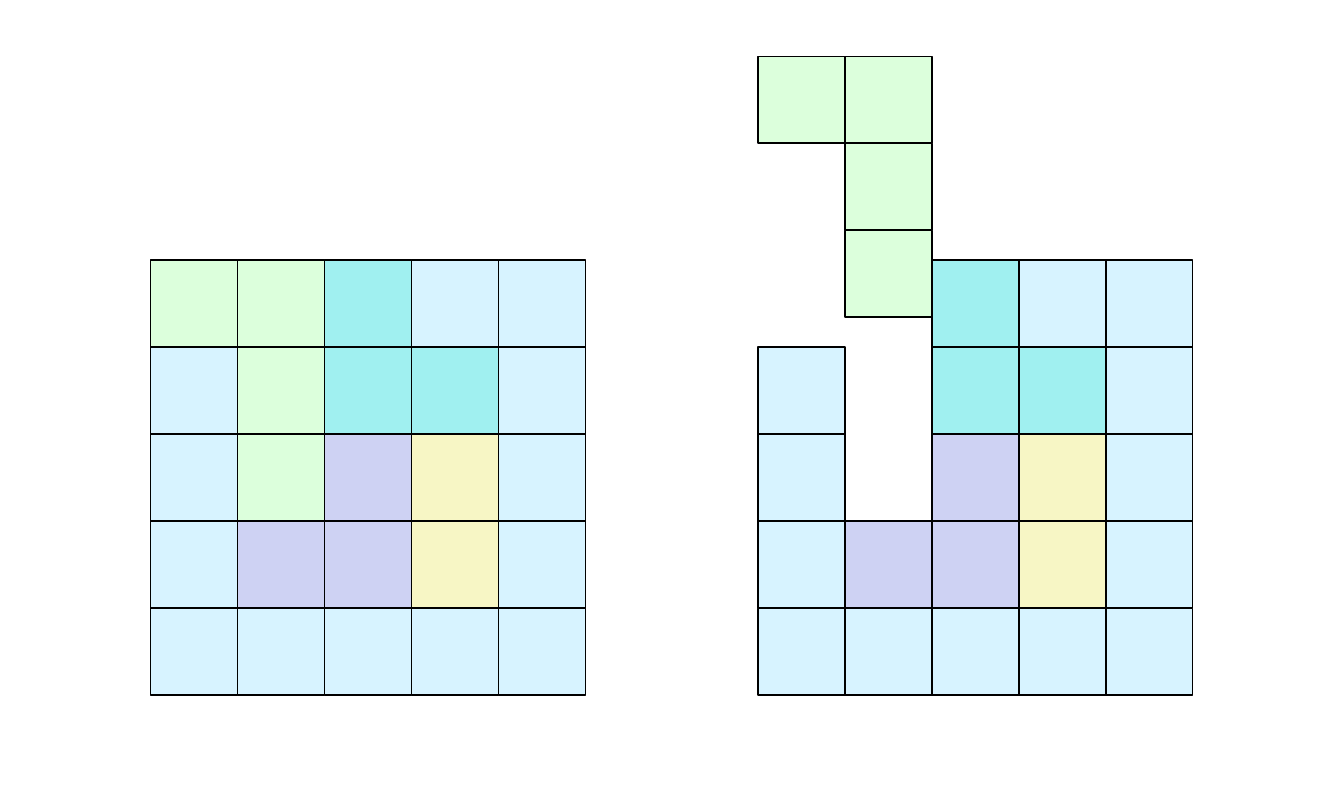
from pptx import Presentation
from pptx.dml.color import RGBColor
from pptx.enum.shapes import MSO_SHAPE
from pptx.util import Inches, Pt

RECTANGLE = MSO_SHAPE.RECTANGLE
BLACK = RGBColor(0x00, 0x00, 0x00)
GREEN = RGBColor(0xDC, 0xFF, 0xDC)
BLUE = RGBColor(0xD7, 0xF3, 0xFF)
TEAL = RGBColor(0xA0, 0xF0, 0xF0)
YELLOW = RGBColor(0xF7, 0xF6, 0xC5)
PURPLE = RGBColor(0xCE, 0xD2, 0xF3)

# Each letter is one cell of the board and names its piece
BOARD = [
    "GGTBB",
    "BGTTB",
    "BGPYB",
    "BPPYB",
    "BBBBB",
]
PIECES = {"G": GREEN, "B": BLUE, "T": TEAL, "Y": YELLOW, "P": PURPLE}
CM_PER_INCH = 2.54
CELL = 2.2 / CM_PER_INCH
BOARD_TOP = 2.59
LIFT = 2.03

# The slide measures 34 by 20 cm
prs = Presentation()
prs.slide_width = Inches(34 / CM_PER_INCH)
prs.slide_height = Inches(20 / CM_PER_INCH)
s = prs.slides.add_slide(prs.slide_layouts[6])

# Complete board on the left, board with the green piece lifted on the right
for board_left, green_lift in [(1.5, 0), (7.55, LIFT)]:
    for piece, color in PIECES.items():
        top = BOARD_TOP - (green_lift if piece == "G" else 0)
        group = s.shapes.add_group_shape()
        for row, letters in enumerate(BOARD):
            for col, letter in enumerate(letters):
                if letter != piece:
                    continue
                sp = group.shapes.add_shape(
                    RECTANGLE,
                    Inches(board_left + col * CELL), Inches(top + row * CELL),
                    Inches(CELL), Inches(CELL))
                sp.shadow.inherit = False
                sp.fill.solid()
                sp.fill.fore_color.rgb = color
                sp.line.color.rgb = BLACK
                sp.line.width = Pt(1)

prs.save("out.pptx")
